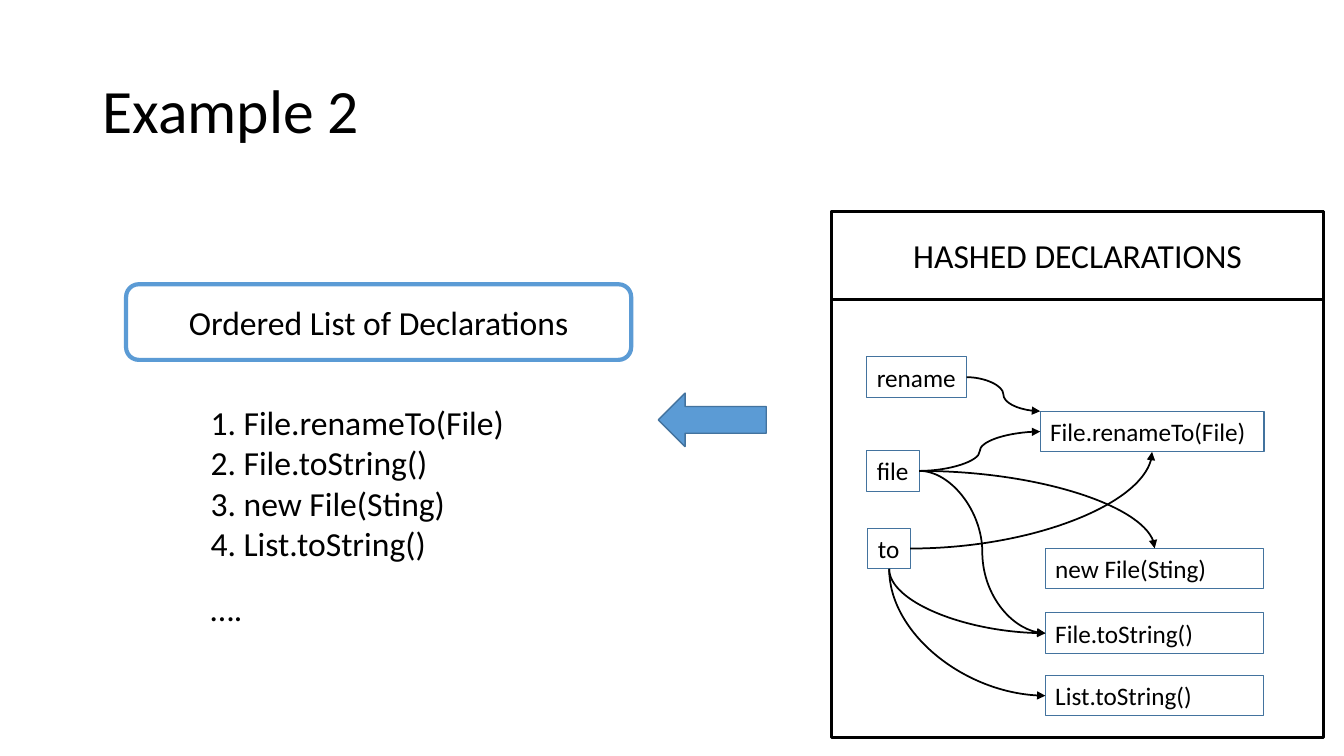
from dataclasses import dataclass
from typing import Optional

from lxml import etree
from pptx import Presentation
from pptx import util as u
from pptx.dml.color import RGBColor
from pptx.enum import shapes, text
from pptx.oxml import ns

BLACK = RGBColor(0x00, 0x00, 0x00)
WHITE = RGBColor(0xFF, 0xFF, 0xFF)
BLUE = RGBColor(0x5B, 0x9B, 0xD5)
DARK_BLUE = RGBColor(0x43, 0x73, 0x9E)
FONT = "Calibri"
KIND = shapes.MSO_SHAPE
LEFT, CENTER = text.PP_ALIGN.LEFT, text.PP_ALIGN.CENTER
TOP, MIDDLE = text.MSO_ANCHOR.TOP, text.MSO_ANCHOR.MIDDLE

deck = Presentation()
deck.slide_width, deck.slide_height = u.Inches(13.333), u.Inches(7.5)
slide = deck.slides.add_slide(deck.slide_layouts[6])

# Grid of 100 columns by 100 rows
COLUMN, ROW = deck.slide_width / 100, deck.slide_height / 100


@dataclass(frozen=True)
class Area:
    col: float
    row: float
    cols: float
    rows: float

    def emu(self) -> list[int]:
        return [round(self.col * COLUMN), round(self.row * ROW),
                round(self.cols * COLUMN), round(self.rows * ROW)]

    def point(self, across: float, down: float) -> tuple[int, int]:
        left, top, width, height = self.emu()
        return round(left + across * width), round(top + down * height)


@dataclass(frozen=True)
class Box:
    area: Area
    lines: tuple[str, ...] = ()
    kind: Optional[KIND] = KIND.RECTANGLE
    fill: Optional[RGBColor] = None
    outline: Optional[RGBColor] = None
    weight: float = 0.75
    size: int = 24
    align: text.PP_ALIGN = LEFT
    anchor: text.MSO_ANCHOR = TOP
    wrap: bool = True
    spacing: float = 1.0
    rotation: int = 0


@dataclass(frozen=True)
class Link:
    source: str
    target: str
    start: tuple[float, float]
    end: tuple[float, float]
    bend: str  # "s", "across" first or "down" first


def draw_box(box: Box) -> None:
    if box.kind is None:
        shape = slide.shapes.add_textbox(*box.area.emu())
    else:
        shape = slide.shapes.add_shape(box.kind, *box.area.emu())
        shape.shadow.inherit = False
    shape.rotation = box.rotation
    for paint, color in ((shape.fill, box.fill), (shape.line.fill, box.outline)):
        if color is None:
            paint.background()
        else:
            paint.solid()
            paint.fore_color.rgb = color
    if box.outline is not None:
        shape.line.width = u.Pt(box.weight)
    frame = shape.text_frame
    frame.word_wrap, frame.vertical_anchor = box.wrap, box.anchor
    for number, line in enumerate(box.lines):
        paragraph = frame.add_paragraph() if number else frame.paragraphs[0]
        paragraph.alignment, paragraph.line_spacing = box.align, box.spacing
        run = paragraph.add_run()
        run.text = line
        run.font.name, run.font.size = FONT, u.Pt(box.size)
        run.font.color.rgb = BLACK


def draw_link(link: Link, boxes: dict[str, Box]) -> None:
    start = boxes[link.source].area.point(*link.start)
    end = boxes[link.target].area.point(*link.end)
    curve = slide.shapes.add_connector(shapes.MSO_CONNECTOR.CURVE, *start, *end)
    curve.line.width = u.Pt(1.25)
    curve.line.color.rgb = BLACK
    properties = curve.element.spPr
    if link.bend != "s":
        properties.find(ns.qn("a:prstGeom")).set("prst", "curvedConnector2")
    if link.bend == "down":
        # A quarter turn plus a flip makes the curve leave downwards
        width, height = curve.width, curve.height
        curve.left += (width - height) // 2
        curve.top += (height - width) // 2
        curve.width, curve.height = height, width
        frame = properties.find(ns.qn("a:xfrm"))
        frame.set("rot", str(270 * 60000))
        frame.set("flipH", "1")
    etree.SubElement(properties.find(ns.qn("a:ln")), ns.qn("a:tailEnd"), type="triangle")
    etree.SubElement(properties, ns.qn("a:effectLst"))


def word(label: str, col: float, row: float, cols: float) -> Box:
    return Box(Area(col, row, cols, 5.38), (label,), outline=DARK_BLUE, size=18, wrap=False)


def declaration(label: str, row: float) -> Box:
    return Box(Area(77.78, row, 16.27, 5.38), (label,), outline=DARK_BLUE, size=18)


# Title, ordered list and panel
layout = [
    Box(Area(6.88, 5.33, 86.25, 19.33), ("Example 2",), kind=None, size=44,
        anchor=MIDDLE, spacing=0.9),
    Box(Area(9.38, 37.6, 37.58, 10), ("Ordered List of Declarations",),
        KIND.ROUNDED_RECTANGLE, WHITE, BLUE, 3, align=CENTER, anchor=MIDDLE),
    Box(Area(61.88, 28, 36.6, 69.6), outline=BLACK, weight=2.25),
    Box(Area(48.98, 52, 8.03, 7.07), kind=KIND.RIGHT_ARROW, fill=BLUE,
        outline=DARK_BLUE, weight=1, rotation=180),
    Box(Area(61.88, 28, 36.6, 11.6), ("HASHED DECLARATIONS",), outline=BLACK,
        weight=2.25, align=CENTER, anchor=MIDDLE),
    Box(Area(14.93, 52.53, 25.73, 22.93),
        ("1. File.renameTo(File)", "2. File.toString()", "3. new File(Sting)",
         "4. List.toString()"), fill=WHITE),
    Box(Area(14.93, 77.07, 3.9, 6.67), ("….",), kind=None, wrap=False),
]

# Hash words and the declarations they lead to
hashed = {
    "renameTo": Box(Area(77.4, 54.4, 16.65, 5.38), ("File.renameTo(File)",),
                    fill=WHITE, outline=DARK_BLUE, size=18, wrap=False),
    "newFile": declaration("new File(Sting)", 72.53),
    "fileToString": declaration("File.toString()", 81.07),
    "listToString": declaration("List.toString()", 89.33),
    "rename": word("rename", 64.5, 47.2, 7.42),
    "file": word("file", 64.5, 59.6, 3.9),
    "to": word("to", 64.58, 69.87, 3.15),
}

CORNER, UPPER, LOWER = (0, 0), (0.5, 0), (0.5, 1)
LEFT_SIDE, RIGHT_SIDE = (0, 0.5), (1, 0.5)
links = [
    Link("rename", "renameTo", RIGHT_SIDE, CORNER, "s"),
    Link("file", "renameTo", RIGHT_SIDE, LEFT_SIDE, "s"),
    Link("to", "renameTo", RIGHT_SIDE, LOWER, "across"),
    Link("file", "newFile", RIGHT_SIDE, UPPER, "across"),
    Link("to", "listToString", LOWER, LEFT_SIDE, "down"),
    Link("file", "fileToString", RIGHT_SIDE, LEFT_SIDE, "s"),
    Link("to", "fileToString", LOWER, LEFT_SIDE, "down"),
]

for part in [*layout, *hashed.values()]:
    draw_box(part)
for hash_link in links:
    draw_link(hash_link, hashed)

deck.save("out.pptx")
